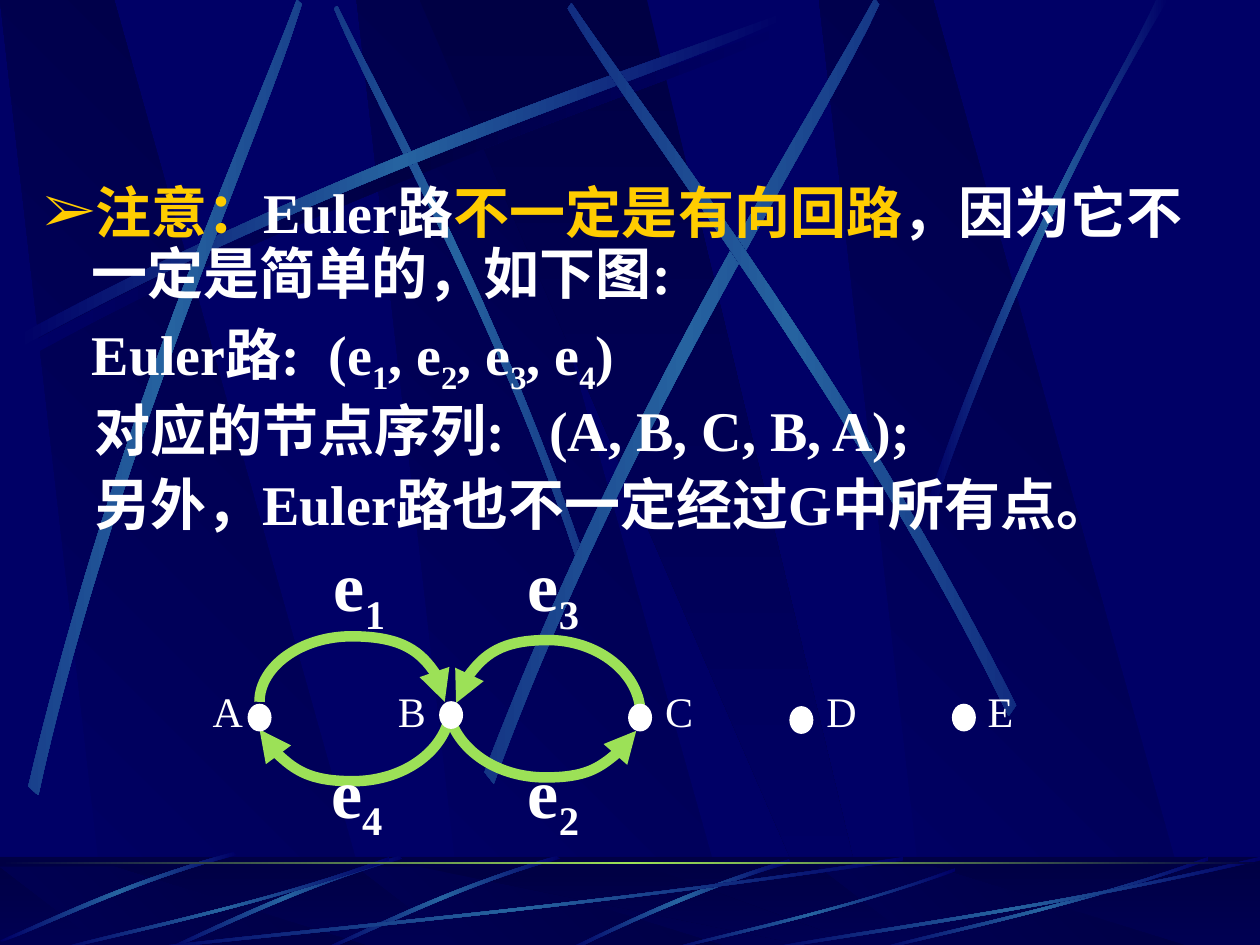
"""Build a slide on Euler paths: four remarks above a directed graph on a streaked background."""
from lxml.etree import SubElement
from pptx import Presentation
from pptx.dml.color import RGBColor
from pptx.enum.shapes import MSO_SHAPE
from pptx.enum.text import MSO_AUTO_SIZE
from pptx.oxml import parse_xml
from pptx.oxml.ns import nsdecls, qn
from pptx.util import Inches, Pt

COLORS = {"navy": "000066", "dark": "000044", "blue": "2663A0",
          "green": "9CE157", "gold": "FFCC00", "white": "FFFFFF"}
FONT = "Times New Roman"

BAND = [(0.285, 1), (1, 1), (0.3, 0), (0, 0)]
WIDE_BAND = [(0, 0), (0.9, 1), (1, 1), (0.5, 0)]
BAND_LEFTS = [2.83, 0, 6.5]

STREAKS = {
    "beam": [(0, .96), (.43, .43), (.83, .15), (1, 0), (1, .02), (.84, .19), (.39, .5), (0, 1)],
    "edge": [(0, .99), (.4, .44), (.79, .17), (.95, 0), (1, 0), (.52, .37), (.16, .81), (.03, 1)],
    "floor": [(1, .04), (.57, .57), (.17, .85), (.01, 1), (0, .99), (.16, .81), (.62, .51), (1, 0)],
    "steep": [(.99, 0), (.49, .37), (.16, .82), (0, .99), (.03, 1), (.23, .75), (.68, .25), (1, .04)],
}
UPPER_STREAKS = [
    ("beam", (0.2, 0.18, 6.08, 2.67), 0, False, "dark"),
    ("beam", (1.41, 1.35, 4.42, 1.75), 45, True, "blue"),
    ("beam", (0.14, 0.1, 6.08, 2.67), 0, False, "blue"),
    ("beam", (-1.71, 1.82, 6.08, 2.67), 311.7, False, "blue"),
    ("beam", (2.31, 1.6, 6.24, 3.01), 321.6, False, "blue"),
    ("beam", (3.23, 1.52, 6.08, 2.67), 34.8, True, "blue"),
    ("edge", (7.38, 0, 1.89, 3.97), 0, False, "blue"),
]
FLOOR_STREAKS = [
    ("steep", (4.48, 6.82, 1.8, 0.73), 0, False, "blue"),
    ("beam", (2.58, 6.76, 1.84, 0.83), 314.9, True, "blue"),
    ("beam", (1.33, 6.76, 1.84, 0.83), 314.9, True, "blue"),
    ("beam", (0.04, 6.7, 1.8, 0.85), 314.9, True, "blue"),
    ("floor", (1, 6.8, 6.17, 0.75), 0, False, "blue"),
    ("floor", (0.42, 6.8, 2.67, 0.75), 0, False, "blue"),
    ("floor", (5.27, 6.89, 2.31, 0.66), 0, False, "blue"),
    ("floor", (6.92, 6.8, 2.67, 0.75), 0, False, "blue"),
    ("floor", (6, 6.8, 4, 0.75), 0, False, "blue"),
]

REMARKS = [
    {"runs": [("注意：", "gold"), ("Euler路", "white"), ("不一定是有向回路", "gold"),
              ("，因为它不一定是简单的，如下图:", "white")], "left": 0.38, "bullet": "➢"},
    {"runs": [("\tEuler路:  (e_1, e_2, e_3, e_4)", "white")], "left": 0.38},
    {"runs": [("\t对应的节点序列: \t (A, B, C, B, A);", "white")], "left": 0.4},
    {"runs": [("\t另外，Euler路也不一定经过G中所有点。", "white")], "left": 0.4},
]

NODES = [("A", 1.59, 0.44, 1.97, 5.59), ("B", 3.06, 0.42, 3.49, 5.57),
         ("C", 5.18, 0.42, 4.99, 5.59), ("D", 6.46, 0.44, 6.27, 5.61),
         ("E", 7.74, 0.4, 7.56, 5.59)]
EDGES = [
    ("headEnd", [(3.62, 5.58), (3.68, 5.29), (3.98, 5.08), (4.35, 5.08),
                 (4.72, 5.08), (5.04, 5.31), (5.08, 5.61)]),
    ("tailEnd", [(2.06, 5.57), (2.06, 5.29), (2.39, 5.05), (2.79, 5.05),
                 (3.2, 5.05), (3.53, 5.29), (3.53, 5.57)]),
    ("headEnd", [(2.06, 5.79), (2.17, 6.03), (2.46, 6.2), (2.8, 6.2),
                 (3.16, 6.2), (3.46, 6.01), (3.55, 5.75)]),
    ("tailEnd", [(3.59, 5.75), (3.7, 6), (3.99, 6.17), (4.33, 6.17),
                 (4.65, 6.17), (4.92, 6.02), (5.05, 5.8)]),
]
EDGE_LABELS = [("e_1", 2.55, 4.25), ("e_2", 4.09, 5.89), ("e_3", 4.09, 4.25), ("e_4", 2.53, 5.89)]


def rgb(name):
    return RGBColor.from_string(COLORS[name])


def add_outline(slide, points, curves=(), close=True):
    """Draw an outline; each index in curves is the start point of a cubic curve."""
    places = [(Inches(x), Inches(y)) for x, y in points]
    builder = slide.shapes.build_freeform(*places[0])
    builder.add_line_segments(places[1:], close=close)
    shape = builder.convert_to_shape()
    shape.shadow.inherit = False
    segments = list(shape._element.iter(qn("a:lnTo")))
    for start in curves:
        cubic = parse_xml(f'<a:cubicBezTo {nsdecls("a")}/>')
        segments[start].addprevious(cubic)
        for segment in segments[start:start + 3]:
            cubic.append(segment[0])
            segment.getparent().remove(segment)
    return shape


def add_preset(slide, kind, box):
    shape = slide.shapes.add_shape(kind, *map(Inches, box))
    shape.shadow.inherit = False
    shape.line.fill.background()
    return shape


def fill_gradient(shape, names, angle):
    stops = "".join(f'<a:gs pos="{100000 * i // (len(names) - 1)}"><a:srgbClr val="{COLORS[name]}"/></a:gs>'
                    for i, name in enumerate(names))
    shape.line.fill.background()
    shape.fill.background()
    old = shape._element.spPr.find(qn("a:noFill"))
    old.getparent().replace(old, parse_xml(
        f'<a:gradFill rotWithShape="0" {nsdecls("a")}><a:gsLst>{stops}</a:gsLst>'
        f'<a:lin ang="{angle * 60000}" scaled="1"/></a:gradFill>'))


def fit(points, box):
    left, top, width, height = box
    return [(left + x * width, top + y * height) for x, y in points]


def add_bands(slide, top, height):
    for left in BAND_LEFTS:
        shape = add_outline(slide, fit(BAND, (left, top, 3.02, height)))
        fill_gradient(shape, ["navy", "dark"], 315)
    shape = add_outline(slide, fit(WIDE_BAND, (3.33, top, 3.61, height)))
    fill_gradient(shape, ["dark", "navy"], 90)


def add_streaks(slide, streaks):
    for profile, box, rotation, mirrored, color in streaks:
        points = [(1 - x if mirrored else x, y) for x, y in STREAKS[profile]]
        shape = add_outline(slide, fit(points, box), curves=(0, 4))
        shape.rotation = rotation
        fill_gradient(shape, ["navy", color, "navy"], 0)


def add_text(paragraph, text, *, size, color="white", bold=False):
    """Add runs; the character after each underscore is a subscript."""
    first, *others = text.split("_")
    pieces = [(first, False)]
    for part in others:
        pieces += [(part[0], True), (part[1:], False)]
    for piece, lowered in pieces:
        if piece:
            run = paragraph.add_run()
            run.text = piece
            run.font.name, run.font.size, run.font.bold = FONT, Pt(size), bold
            run.font.color.rgb = rgb(color)
            if lowered:
                run.font._element.set("baseline", "-25000")


def add_label(slide, text, box, **style):
    frame = slide.shapes.add_textbox(*map(Inches, box)).text_frame
    frame.word_wrap = False
    frame.auto_size = MSO_AUTO_SIZE.SHAPE_TO_FIT_TEXT
    add_text(frame.paragraphs[0], text, **style)


def add_remarks(slide):
    frame = slide.shapes.add_textbox(*map(Inches, (0.25, 1.42, 9.58, 2.92))).text_frame
    frame.word_wrap = True
    for index, remark in enumerate(REMARKS):
        paragraph = frame.add_paragraph() if index else frame.paragraphs[0]
        properties = paragraph._p.get_or_add_pPr()
        left = Inches(remark["left"])
        properties.set("marL", str(left))
        properties.set("indent", str(-left))
        if "bullet" in remark:
            SubElement(SubElement(properties, qn("a:buClr")), qn("a:srgbClr"), val=COLORS["gold"])
            SubElement(properties, qn("a:buFont"), typeface=FONT)
            SubElement(properties, qn("a:buChar"), char=remark["bullet"])
        else:
            tabs = SubElement(properties, qn("a:tabLst"))
            for stop in range(8):
                SubElement(tabs, qn("a:tab"), pos=str(Inches(stop)), algn="l")
        paragraph.line_spacing = 0.9
        paragraph.space_before = Pt(8 if index else 0)
        for text, color in remark["runs"]:
            add_text(paragraph, text, size=32, color=color, bold=True)


def add_background(slide):
    slide.background.fill.solid()
    slide.background.fill.fore_color.rgb = rgb("navy")
    add_bands(slide, 0, 7.52)
    add_streaks(slide, UPPER_STREAKS)
    floor = (0, 6.8, 10, 0.75)
    fill_gradient(add_preset(slide, MSO_SHAPE.RECTANGLE, floor), ["dark", "navy"], 90)
    add_bands(slide, 6.88, 0.66)
    veil = add_preset(slide, MSO_SHAPE.RECTANGLE, floor)
    veil.fill.solid()
    veil.fill.fore_color.rgb = rgb("dark")
    SubElement(veil._element.spPr.find(".//" + qn("a:srgbClr")), qn("a:alpha"), val="50000")
    add_streaks(slide, FLOOR_STREAKS)
    horizon = add_preset(slide, MSO_SHAPE.RECTANGLE, (0, 6.84, 10, 0.02))
    fill_gradient(horizon, ["dark", "green", "dark"], 0)


def add_graph(slide):
    for arrow_end, points in EDGES:
        edge = add_outline(slide, points, curves=(0, 3), close=False)
        edge.fill.background()
        edge.line.color.rgb = rgb("green")
        edge.line.width = Pt(6)
        SubElement(edge.line._get_or_add_ln(), qn("a:" + arrow_end), type="triangle")
    for text, left, top in EDGE_LABELS:
        add_label(slide, text, (left, top, 0.61, 0.86), size=40, bold=True)
    for name, label_left, label_width, left, top in NODES:
        add_label(slide, name, (label_left, 5.39, label_width, 0.5), size=24)
        dot = add_preset(slide, MSO_SHAPE.OVAL, (left, top, 0.18, 0.21))
        dot.fill.solid()
        dot.fill.fore_color.rgb = dot.line.color.rgb = rgb("white")
        dot.line.width = Pt(0.75)


presentation = Presentation()
presentation.slide_width, presentation.slide_height = Inches(10), Inches(7.5)
euler_slide = presentation.slides.add_slide(presentation.slide_layouts[6])
add_background(euler_slide)
add_remarks(euler_slide)
add_graph(euler_slide)
presentation.save("out.pptx")
